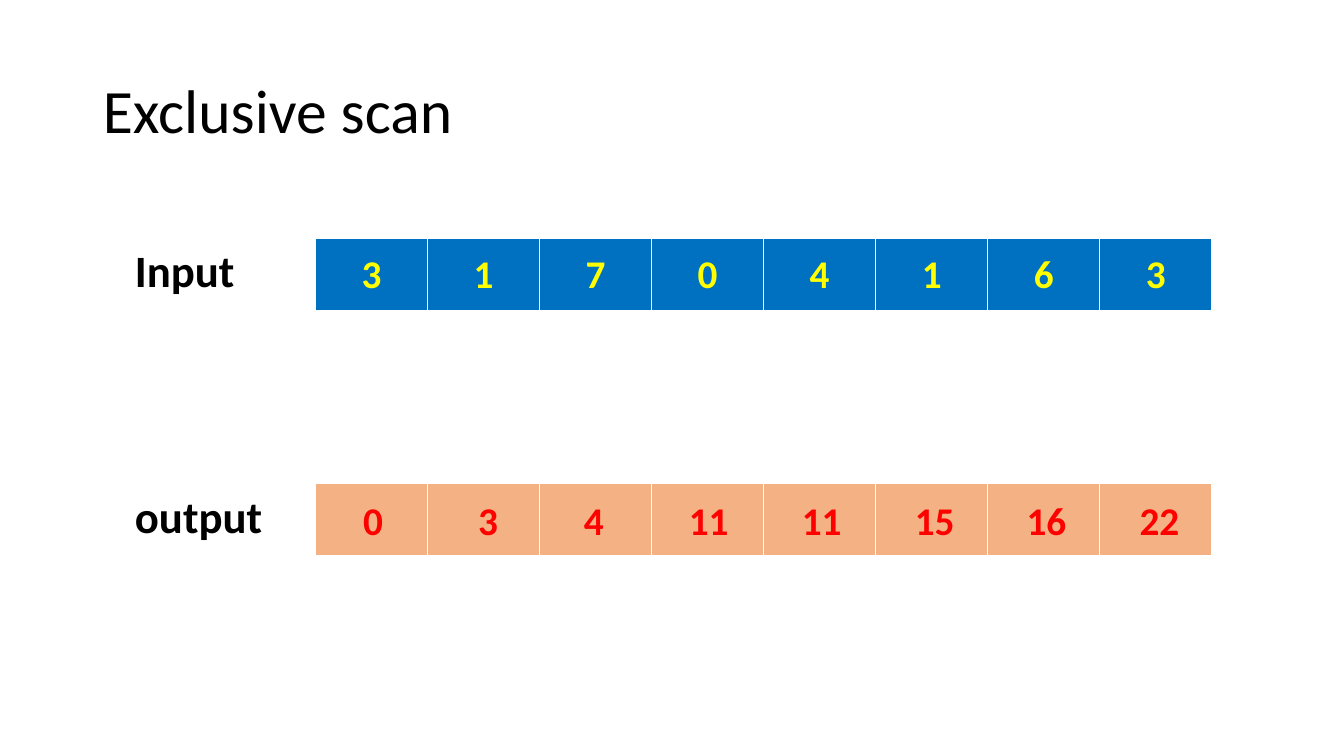
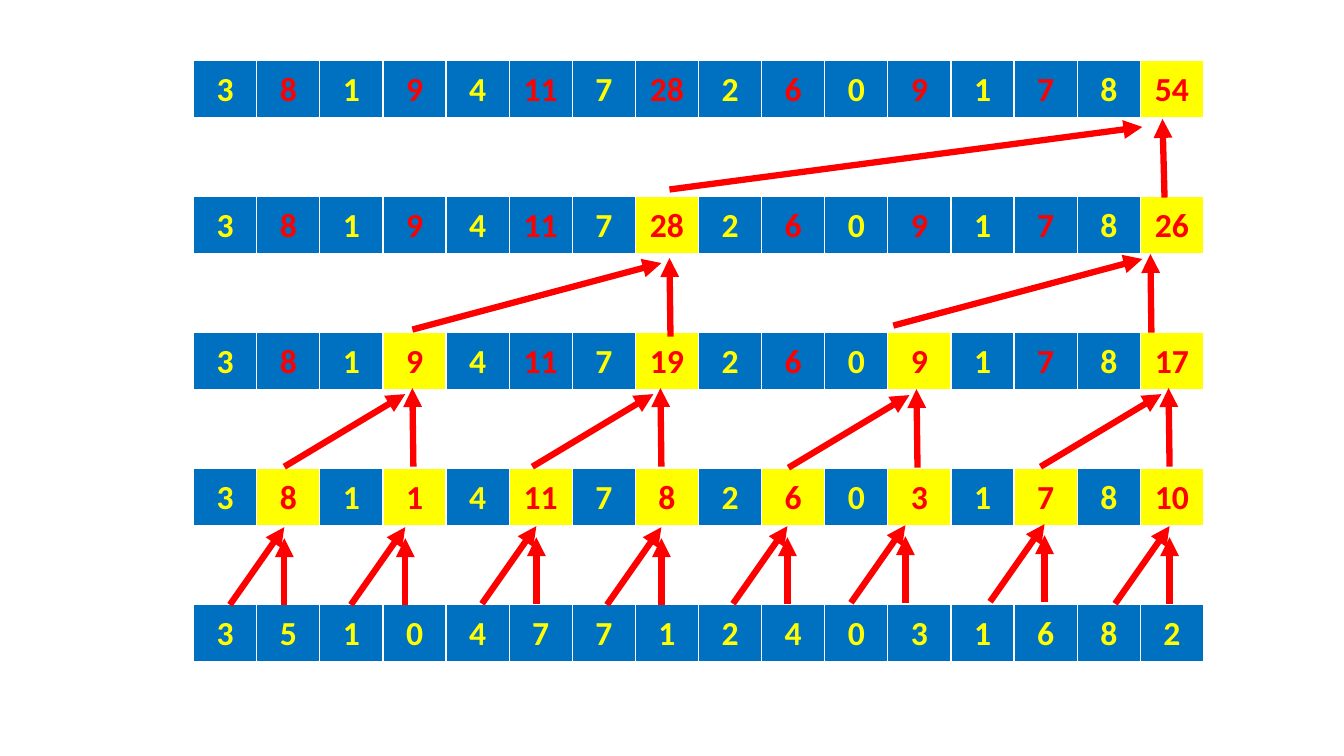
from dataclasses import dataclass
from typing import Optional, Sequence

from lxml.etree import SubElement
from pptx import Presentation
from pptx.dml.color import RGBColor
from pptx.enum.shapes import MSO_CONNECTOR as Connector, MSO_SHAPE as Preset
from pptx.enum.text import MSO_ANCHOR as Anchor, PP_ALIGN as Align
from pptx.oxml.ns import qn
from pptx.slide import Slide
from pptx.util import Emu, Pt

EMU_PER_PX = 9144


def px(length: int) -> Emu:
    return Emu(length * EMU_PER_PX)


@dataclass(frozen=True)
class Theme:
    font: str = "Calibri"
    black: RGBColor = RGBColor(0x00, 0x00, 0x00)
    white: RGBColor = RGBColor(0xFF, 0xFF, 0xFF)
    blue: RGBColor = RGBColor(0x00, 0x70, 0xC0)
    yellow: RGBColor = RGBColor(0xFF, 0xFF, 0x00)
    red: RGBColor = RGBColor(0xFF, 0x00, 0x00)
    orange: RGBColor = RGBColor(0xF4, 0xB1, 0x83)
    title_size: int = 44
    label_size: int = 32
    scan_size: int = 28
    tree_size: int = 24
    arrow_width: float = 4.5


THEME = Theme()


@dataclass(frozen=True)
class Box:
    left: int
    top: int
    width: int
    height: int

    def emu(self) -> tuple[Emu, Emu, Emu, Emu]:
        return px(self.left), px(self.top), px(self.width), px(self.height)


@dataclass(frozen=True)
class Cell:
    text: str
    fill: RGBColor
    color: RGBColor = THEME.yellow


@dataclass(frozen=True)
class Point:
    x: int
    y: int

    def shifted(self, by: "Point") -> "Point":
        return Point(self.x + by.x, self.y + by.y)


@dataclass(frozen=True)
class Merge:
    feet: tuple[Point, ...]
    slant_start: Point
    slant_tip: Point
    upright_tip: Point


INPUT_VALUES = (3, 1, 7, 0, 4, 1, 6, 3)
OUTPUT_VALUES = (0, 3, 4, 11, 11, 15, 16, 22)
OUTPUT_LEFTS = (323, 437, 542, 656, 768, 880, 991, 1103)
TREE_VALUES = (3, 5, 1, 0, 4, 7, 7, 1, 2, 4, 0, 3, 1, 6, 8, 2)
TREE_BOTTOM_TOP = 600
TREE_STEP = 135

MERGES = (
    Merge(
        (Point(282, 600), Point(402, 600), Point(532, 599), Point(656, 600),
         Point(781, 599), Point(898, 598), Point(1036, 597), Point(1160, 599)),
        Point(-54, 0), Point(0, -77), Point(0, -66),
    ),
    Merge(
        (Point(410, 463), Point(656, 463), Point(910, 464), Point(1160, 463)),
        Point(-128, 0), Point(-8, -72), Point(-1, -78),
    ),
    Merge(
        (Point(665, 334), Point(1142, 330)),
        Point(-256, -7), Point(-9, -73), Point(-1, -78),
    ),
    Merge(
        (Point(1155, 196),),
        Point(-491, -8), Point(-22, -70), Point(-2, -78),
    ),
)


def format_paragraph(paragraph, size: int, color: RGBColor, bold: bool = True,
                     align: Optional[Align] = None) -> None:
    paragraph.alignment = align
    paragraph.font.name = THEME.font
    paragraph.font.size = Pt(size)
    paragraph.font.bold = bold
    paragraph.font.color.rgb = color


def add_cell_borders(table_cell) -> None:
    properties = table_cell._tc.get_or_add_tcPr()
    for side, width in (("L", 1), ("R", 1), ("T", 1), ("B", 3)):
        border = SubElement(properties, qn(f"a:ln{side}"), w=str(Pt(width)))
        fill = SubElement(border, qn("a:solidFill"))
        SubElement(fill, qn("a:srgbClr"), val=str(THEME.white))


def add_value_row(slide: Slide, box: Box, cells: Sequence[Cell], size: int) -> None:
    table = slide.shapes.add_table(1, len(cells), *box.emu()).table
    table.first_row = False
    table.horz_banding = False
    for column, cell in enumerate(cells):
        table.columns[column].width = Emu(px(box.width) // len(cells))
        table_cell = table.cell(0, column)
        add_cell_borders(table_cell)
        table_cell.fill.solid()
        table_cell.fill.fore_color.rgb = cell.fill
        table_cell.vertical_anchor = Anchor.MIDDLE
        table_cell.text = cell.text
        format_paragraph(table_cell.text_frame.paragraphs[0], size, cell.color,
                         align=Align.CENTER)


def add_title(slide: Slide, text: str) -> None:
    title = slide.shapes.title
    title.left, title.top, title.width, title.height = Box(92, 40, 1150, 145).emu()
    title.text_frame.text = text
    title.text_frame.vertical_anchor = Anchor.MIDDLE
    paragraph = title.text_frame.paragraphs[0]
    paragraph.line_spacing = 0.9
    format_paragraph(paragraph, THEME.title_size, THEME.black, False, Align.LEFT)


def add_label(slide: Slide, box: Box, text: str) -> None:
    frame = slide.shapes.add_textbox(*box.emu()).text_frame
    frame.text = text
    format_paragraph(frame.paragraphs[0], THEME.label_size, THEME.black)


def add_output_value(slide: Slide, left: int, value: int) -> None:
    shape = slide.shapes.add_shape(Preset.RECTANGLE, *Box(left, 484, 94, 64).emu())
    shape.shadow.inherit = False
    shape.fill.solid()
    shape.fill.fore_color.rgb = THEME.orange
    shape.line.fill.background()
    frame = shape.text_frame
    frame.text = str(value)
    frame.vertical_anchor = Anchor.MIDDLE
    format_paragraph(frame.paragraphs[0], THEME.scan_size, THEME.red,
                     align=Align.CENTER)


def add_arrow(slide: Slide, start: Point, tip: Point) -> None:
    connector = slide.shapes.add_connector(
        Connector.STRAIGHT, px(start.x), px(start.y), px(tip.x), px(tip.y))
    connector.line.color.rgb = THEME.red
    connector.line.width = Pt(THEME.arrow_width)
    properties = connector.element.spPr
    SubElement(properties.find(qn("a:ln")), qn("a:tailEnd"), type="triangle")
    SubElement(properties, qn("a:effectLst"))


def add_merge_arrows(slide: Slide, merge: Merge) -> None:
    for foot in merge.feet:
        add_arrow(slide, foot.shifted(merge.slant_start), foot.shifted(merge.slant_tip))
        add_arrow(slide, foot, foot.shifted(merge.upright_tip))


def sum_pairs(values: Sequence[int], stride: int) -> list[int]:
    return [
        value + values[index - stride // 2] if (index + 1) % stride == 0 else value
        for index, value in enumerate(values)
    ]


def tree_cells(values: Sequence[int], stride: int) -> list[Cell]:
    return [
        Cell(
            str(value),
            THEME.yellow if stride > 1 and position % stride == 0 else THEME.blue,
            THEME.red if stride > 1 and position % 2 == 0 else THEME.yellow,
        )
        for position, value in enumerate(values, start=1)
    ]


def build_scan_slide(presentation) -> None:
    slide = presentation.slides.add_slide(presentation.slide_layouts[5])
    add_title(slide, "Exclusive scan")
    add_value_row(slide, Box(313, 237, 889, 72),
                  [Cell(str(value), THEME.blue) for value in INPUT_VALUES],
                  THEME.scan_size)
    add_value_row(slide, Box(313, 480, 889, 72),
                  [Cell("", THEME.orange)] * len(OUTPUT_VALUES), THEME.scan_size)
    add_label(slide, Box(124, 236, 120, 64), "Input")
    add_label(slide, Box(124, 480, 150, 64), "output")
    for left, value in zip(OUTPUT_LEFTS, OUTPUT_VALUES):
        add_output_value(slide, left, value)


def build_tree_slide(presentation) -> None:
    slide = presentation.slides.add_slide(presentation.slide_layouts[6])
    values = list(TREE_VALUES)
    for level in range(len(MERGES) + 1):
        stride = 2 ** level
        if level:
            values = sum_pairs(values, stride)
        box = Box(192, TREE_BOTTOM_TOP - TREE_STEP * level, 1002, 58)
        add_value_row(slide, box, tree_cells(values, stride), THEME.tree_size)
        if level:
            add_merge_arrows(slide, MERGES[level - 1])


def main() -> None:
    presentation = Presentation()
    presentation.slide_width = px(1333)
    presentation.slide_height = px(750)
    build_scan_slide(presentation)
    build_tree_slide(presentation)
    presentation.save("out.pptx")


if __name__ == "__main__":
    main()
